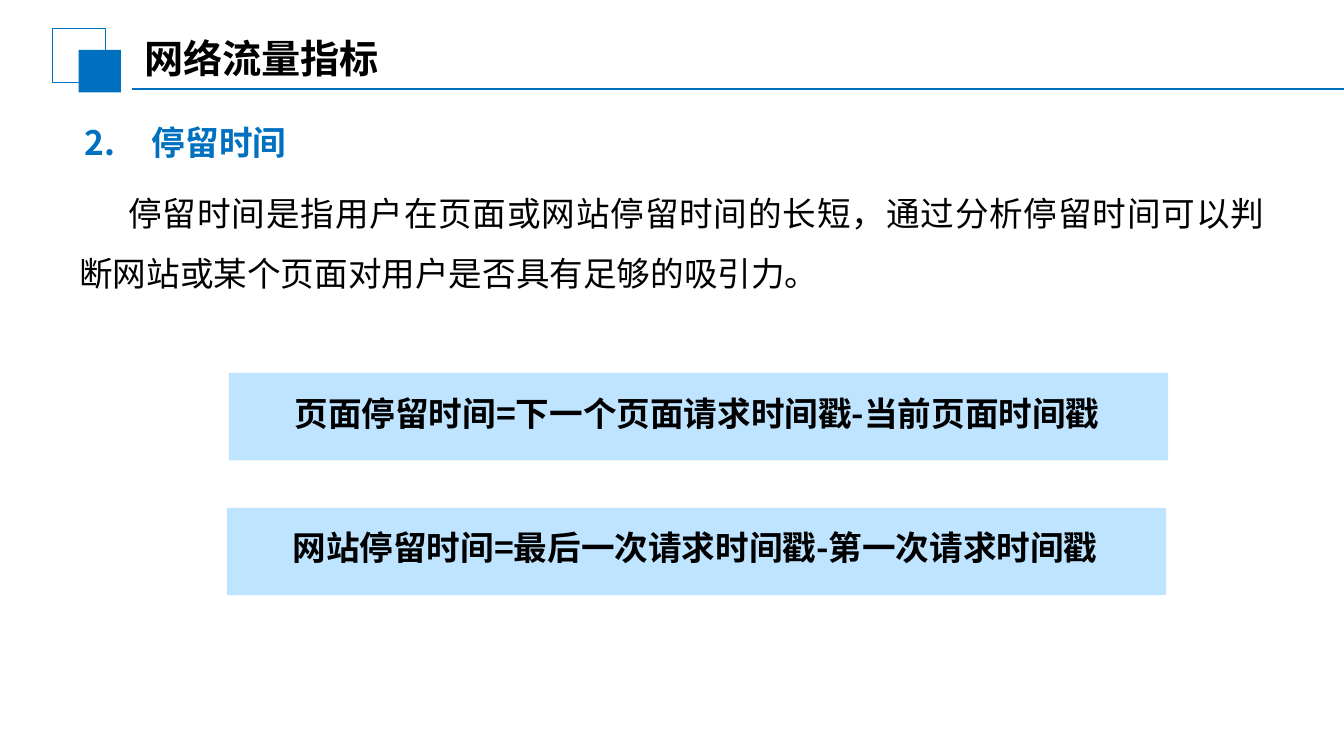
from dataclasses import dataclass

from lxml import etree
from pptx import Presentation
from pptx.dml.color import RGBColor
from pptx.enum.shapes import MSO_CONNECTOR, MSO_SHAPE
from pptx.enum.text import MSO_ANCHOR, PP_ALIGN
from pptx.oxml.ns import qn
from pptx.util import Cm, Pt

RECT = MSO_SHAPE.RECTANGLE
LINE = MSO_CONNECTOR.STRAIGHT
TOP, MIDDLE = MSO_ANCHOR.TOP, MSO_ANCHOR.MIDDLE
LEFT, CENTER, JUSTIFY = PP_ALIGN.LEFT, PP_ALIGN.CENTER, PP_ALIGN.JUSTIFY


@dataclass(frozen=True)
class Theme:
    """Hold the colours, fonts and type sizes."""
    blue: RGBColor = RGBColor.from_string("0070C0")
    pale: RGBColor = RGBColor.from_string("BFE4FF")
    black: RGBColor = RGBColor.from_string("000000")
    font: str = "Noto Sans CJK SC"
    latin: str = "Calibri"
    title: int = 28
    body: int = 24


THEME = Theme()


def add_text(slide, box, text, size=THEME.body, font=THEME.font,
             color=THEME.black, bold=False, align=LEFT, anchor=TOP,
             inset=(0.25, 0.13), indent=0, spacing=None, tab=None):
    """Place one formatted paragraph in a text box."""
    frame = slide.shapes.add_textbox(*map(Cm, box)).text_frame
    frame.word_wrap = True
    frame.vertical_anchor = anchor
    frame.margin_left = frame.margin_right = Cm(inset[0])
    frame.margin_top = frame.margin_bottom = Cm(inset[1])
    para = frame.paragraphs[0]
    para.alignment = align
    if spacing:
        para.line_spacing = spacing
    props = para._p.get_or_add_pPr()
    props.set("marL", "0")
    props.set("indent", str(Cm(indent)))
    if tab:
        stops = etree.SubElement(props, qn("a:tabLst"))
        etree.SubElement(stops, qn("a:tab"), pos=str(Cm(tab)), algn="l")
    run = para.add_run()
    run.text = text
    run.font.size = Pt(size)
    run.font.bold = bold
    run.font.color.rgb = color
    run.font.name = font
    etree.SubElement(run._r.get_or_add_rPr(), qn("a:ea"), typeface=THEME.font)


def add_rect(slide, box, fill=None, line=None):
    """Place a flat rectangle with an optional fill and outline."""
    rect = slide.shapes.add_shape(RECT, *map(Cm, box))
    rect.shadow.inherit = False
    if fill is None:
        rect.fill.background()
    else:
        rect.fill.solid()
        rect.fill.fore_color.rgb = fill
    if line is None:
        rect.line.fill.background()
    else:
        rect.line.color.rgb = line
        rect.line.width = Pt(0.75)


def add_header(slide, box, title):
    """Draw the two squares, the rule and the slide title."""
    left, top, width, height = box
    add_rect(slide, (left, top, 1.33, 1.35), line=THEME.blue)
    add_rect(slide, (left + 0.66, top + 0.54, 1.07, 1.07), fill=THEME.blue)
    rule = slide.shapes.add_connector(
        LINE, Cm(left + 2.01), Cm(top + 1.53), Cm(left + width), Cm(top + 1.53))
    rule.line.color.rgb = THEME.blue
    rule.line.width = Pt(1.25)
    etree.SubElement(rule._element.spPr, qn("a:effectLst"))
    add_text(slide, (left + 1.98, top, 13.44, height), title,
             size=THEME.title, font=THEME.latin, bold=True,
             anchor=MIDDLE, inset=(0.33, 0.18))


def add_body(slide, box, head, text):
    """Write the numbered heading and the paragraph below it."""
    left, top, width, height = box
    add_text(slide, (left - 0.71, top, 10.31, 1.27), head,
             color=THEME.blue, bold=True, indent=0.84, tab=1.98)
    add_text(slide, (left, top + 1.27, width, height - 1.27), text,
             align=JUSTIFY, indent=1.24, spacing=1.5)


def add_band(slide, box, text):
    """Draw a pale band with a formula on it."""
    left, top, width, height = box
    add_rect(slide, box, fill=THEME.pale)
    add_text(slide, (left + 0.46, top + 0.36, width - 1, 1.27), text,
             bold=True, align=CENTER)


def main():
    """Build and save the slide."""
    deck = Presentation()
    deck.slide_width, deck.slide_height = Cm(33.87), Cm(19.05)
    slide = deck.slides.add_slide(deck.slide_layouts[6])
    add_header(slide, (1.32, 0.72, 32.55, 1.5), "网络流量指标")
    add_body(slide, (1.75, 2.95, 30.38, 4.6), "2.\t停留时间",
             "停留时间是指用户在页面或网站停留时间的长短，通过分析停留时间"
             "可以判断网站或某个页面对用户是否具有足够的吸引力。")
    add_band(slide, (5.77, 9.4, 23.67, 2.2),
             "页面停留时间=下一个页面请求时间戳-当前页面时间戳")
    add_band(slide, (5.72, 12.8, 23.67, 2.2),
             "网站停留时间=最后一次请求时间戳-第一次请求时间戳")
    deck.save("out.pptx")


if __name__ == "__main__":
    main()
